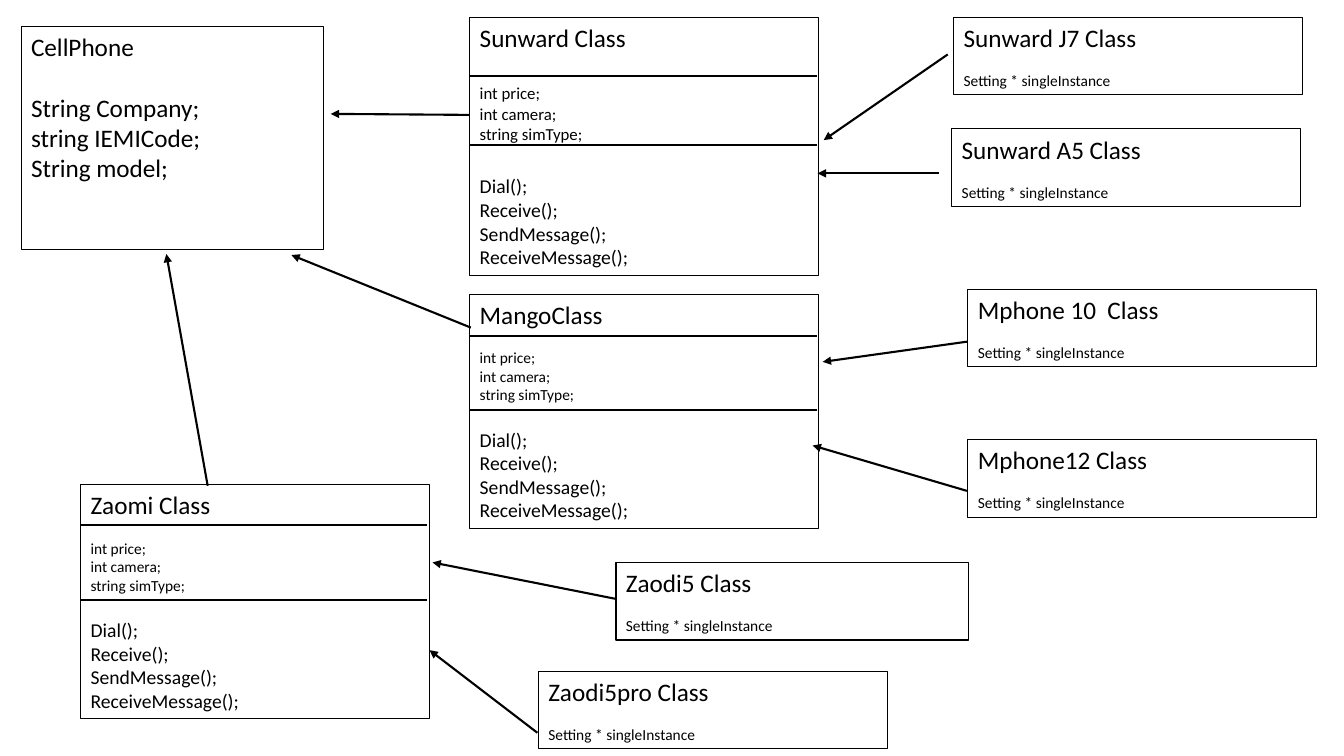
from typing import NamedTuple

import pptx
import pptx.dml.color
import pptx.enum.shapes
import pptx.enum.text
import pptx.oxml.ns
import pptx.oxml.xmlchemy
import pptx.util

Inches = pptx.util.Inches
Pt = pptx.util.Pt

COLORS = {"ink": "000000"}
FONT = "Calibri"
LINE_HEIGHT = 1.22
BOX_W = 3.46
DIVIDER_W = 3.44
MODEL_H = 0.77

FIELDS = ("int price;", "int camera;", "string simType;")
METHODS = ("Dial();", "Receive();", "SendMessage();", "ReceiveMessage();")
SETTING = ("Setting * singleInstance",)


class Section(NamedTuple):
    lines: tuple[str, ...]
    size: float
    gap: float = 0


class ClassBox(NamedTuple):
    x: float
    y: float
    w: float
    h: float
    sections: tuple[Section, ...]
    dividers: tuple[float, ...] = ()


class Arrow(NamedTuple):
    x1: float
    y1: float
    x2: float
    y2: float


def brand_box(x: float, y: float, h: float, name: str, field_size: float,
              gaps: tuple[float, float], dividers: tuple[float, float]) -> ClassBox:
    sections = (Section((name,), 18), Section(FIELDS, field_size, gaps[0]),
                Section(METHODS, 14, gaps[1]))
    return ClassBox(x, y, BOX_W, h, sections, dividers)


def model_box(x: float, y: float, name: str, w: float = BOX_W) -> ClassBox:
    return ClassBox(x, y, w, MODEL_H, (Section((name,), 18), Section(SETTING, 11, 11)))


BOXES = (
    ClassBox(0.21, 0.26, 3, 2.22, (
        Section(("CellPhone",), 18),
        Section(("String Company;", "string IEMICode;", "String model;"), 18, 18))),
    brand_box(4.66, 0.17, 2.56, "Sunward Class", 12, (18, 18), (0.58, 1.27)),
    brand_box(4.66, 2.92, 2.32, "MangoClass", 11, (11, 14), (0.41, 1.15)),
    brand_box(0.8, 4.81, 2.32, "Zaomi Class", 11, (11, 14), (0.4, 1.14)),
    model_box(9.46, 0.17, "Sunward J7 Class"),
    model_box(9.44, 1.28, "Sunward A5 Class"),
    model_box(9.6, 2.87, "Mphone 10  Class"),
    model_box(9.6, 4.36, "Mphone12 Class"),
    model_box(6.11, 5.58, "Zaodi5 Class", 3.5),
    model_box(5.34, 6.66, "Zaodi5pro Class"),
)

ARROWS = (
    Arrow(4.66, 1.14, 3.28, 1.13),
    Arrow(4.67, 3.25, 2.89, 2.53),
    Arrow(2.06, 4.82, 1.65, 2.52),
    Arrow(9.4, 0.54, 8.17, 1.39),
    Arrow(9.31, 1.72, 8.11, 1.72),
    Arrow(9.59, 3.39, 8.16, 3.59),
    Arrow(9.59, 4.87, 8.06, 4.42),
    Arrow(6.1, 5.94, 4.29, 5.58),
    Arrow(5.33, 7.27, 4.26, 6.45),
)


def ink() -> pptx.dml.color.RGBColor:
    return pptx.dml.color.RGBColor.from_string(COLORS["ink"])


def draw_line(s, x1: float, y1: float, x2: float, y2: float, arrow: bool = False) -> None:
    c = s.shapes.add_connector(pptx.enum.shapes.MSO_CONNECTOR.STRAIGHT,
                               Inches(x1), Inches(y1), Inches(x2), Inches(y2))
    c.line.color.rgb = ink()
    c.line.width = Pt(1.5)
    props = c._element.spPr
    if arrow:
        tail = pptx.oxml.xmlchemy.OxmlElement("a:tailEnd")
        tail.set("type", "triangle")
        props.find(pptx.oxml.ns.qn("a:ln")).append(tail)
    props.append(pptx.oxml.xmlchemy.OxmlElement("a:effectLst"))


def draw_box(s, box: ClassBox) -> None:
    sp = s.shapes.add_textbox(Inches(box.x), Inches(box.y), Inches(box.w), Inches(box.h))
    sp.line.color.rgb = ink()
    sp.line.width = Pt(0.75)
    tf = sp.text_frame
    tf.word_wrap = True
    tf.auto_size = pptx.enum.text.MSO_AUTO_SIZE.NONE
    tf.text = "\n".join(line for section in box.sections for line in section.lines)
    paragraphs = iter(tf.paragraphs)
    for section in box.sections:
        for i in range(len(section.lines)):
            p = next(paragraphs)
            if i == 0 and section.gap:
                p.space_before = Pt(round(section.gap * LINE_HEIGHT, 1))
            for r in p.runs:
                r.font.name = FONT
                r.font.size = Pt(section.size)
                r.font.color.rgb = ink()
    for offset in box.dividers:
        y = box.y + offset
        draw_line(s, box.x, y, box.x + DIVIDER_W, y)


def main() -> None:
    prs = pptx.Presentation()
    prs.slide_width = Inches(13.33)
    prs.slide_height = Inches(7.5)
    s = prs.slides.add_slide(prs.slide_layouts[6])
    for box in BOXES:
        draw_box(s, box)
    for arrow in ARROWS:
        draw_line(s, *arrow, arrow=True)
    prs.save("out.pptx")


if __name__ == "__main__":
    main()
